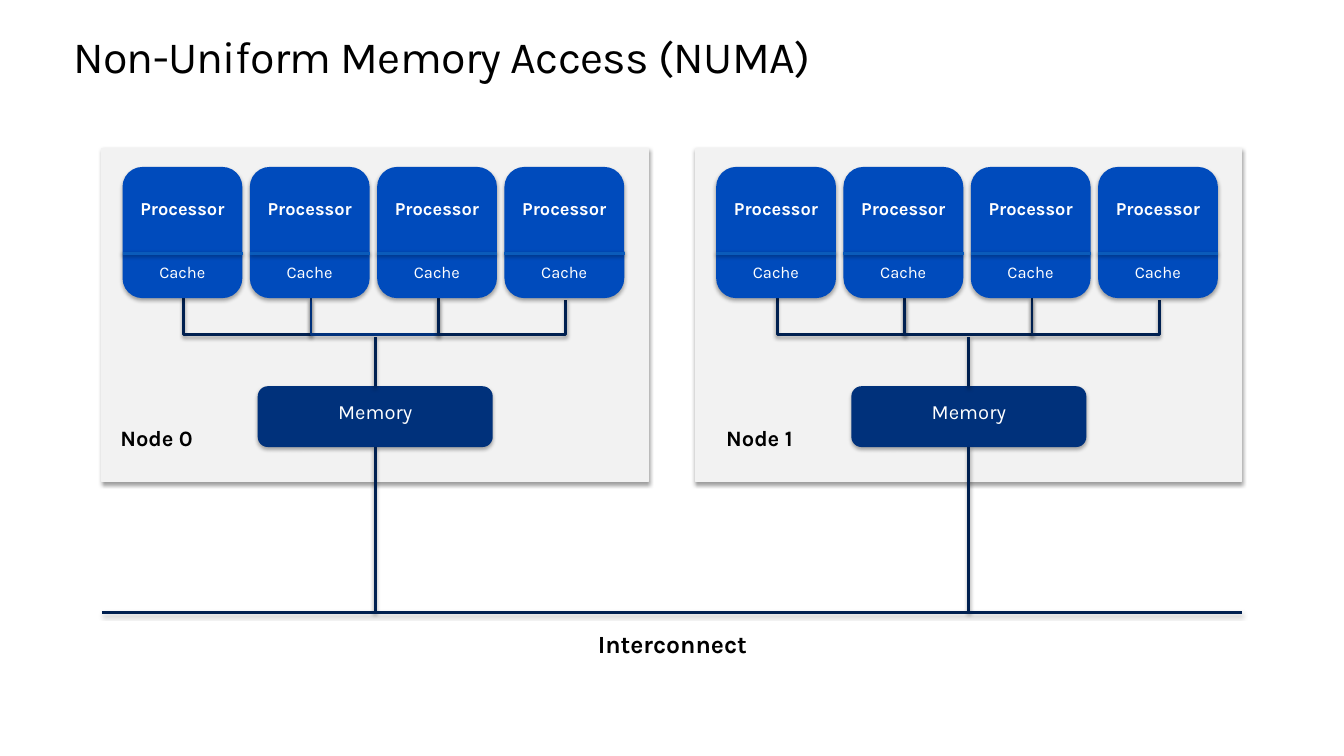
from lxml import etree
from pptx import Presentation
from pptx.dml.color import RGBColor
from pptx.enum import shapes, text
from pptx.oxml import ns
from pptx.util import Pt

COLORS = {"black": "000000", "white": "FFFFFF", "panel": "F2F2F2", "processor": "004BBC",
          "divider": "0A5BBA", "memory": "00317B", "wire": "002050"}
LEFT, CENTER = text.PP_ALIGN.LEFT, text.PP_ALIGN.CENTER
RECT = shapes.MSO_SHAPE.RECTANGLE
ROUNDED = shapes.MSO_SHAPE.ROUNDED_RECTANGLE
STRAIGHT, ELBOW = shapes.MSO_CONNECTOR.STRAIGHT, shapes.MSO_CONNECTOR.ELBOW


def rgb(name):
    return RGBColor.from_string(COLORS[name])


class Deck:
    font = "Karla"
    wire_width = 2

    def __init__(self, width, height):
        self.prs = Presentation()
        self.prs.slide_width, self.prs.slide_height = Pt(width), Pt(height)
        self.slide = self.prs.slides.add_slide(self.prs.slide_layouts[5])

    def set_text(self, sp, words, size, color, align=LEFT, bold=False, margin=7.2):
        tf = sp.text_frame
        tf.text = words
        tf.word_wrap = True
        tf.auto_size = text.MSO_AUTO_SIZE.SHAPE_TO_FIT_TEXT
        tf.vertical_anchor = text.MSO_ANCHOR.TOP
        tf.margin_left = tf.margin_right = Pt(margin)
        p = tf.paragraphs[0]
        p.alignment = align
        r = p.runs[0]
        r.font.name, r.font.size, r.font.bold = self.font, Pt(size), bold
        r.font.color.rgb = rgb(color)
        return p

    def title(self, words, x, y, w, h):
        sp = self.slide.shapes.title
        sp.left, sp.top, sp.width, sp.height = Pt(x), Pt(y), Pt(w), Pt(h)
        p = self.set_text(sp, words, 32.6, "black", margin=0)
        sp.text_frame.margin_top = sp.text_frame.margin_bottom = 0
        p.line_spacing = Pt(36.9)
        p.runs[0].font._element.set("spc", "-50")

    def label(self, words, x, y, w, h, size, color="white", **style):
        sp = self.slide.shapes.add_textbox(Pt(x), Pt(y), Pt(w), Pt(h))
        self.set_text(sp, words, size, color, **style)

    def shadow(self, sp, alpha, distance):
        spPr = sp._element.spPr
        effects = spPr.find(ns.qn("a:effectLst"))
        if effects is None:
            effects = etree.SubElement(spPr, ns.qn("a:effectLst"))
        outer = etree.SubElement(effects, ns.qn("a:outerShdw"), blurRad=str(Pt(3.1)),
                                 dist=str(Pt(distance)), dir="5400000", rotWithShape="0")
        color = etree.SubElement(outer, ns.qn("a:srgbClr"), val=COLORS["black"])
        etree.SubElement(color, ns.qn("a:alpha"), val=str(alpha * 1000))

    def block(self, kind, x, y, w, h, fill, outline=None):
        sp = self.slide.shapes.add_shape(kind, Pt(x), Pt(y), Pt(w), Pt(h))
        sp.shadow.inherit = False
        sp.fill.solid()
        sp.fill.fore_color.rgb = rgb(fill)
        if outline:
            sp.line.color.rgb, sp.line.width = rgb(outline), Pt(0.75)
            self.shadow(sp, 38, 1.6)
        else:
            sp.line.fill.background()
            self.shadow(sp, 35, 1.8)
        return sp

    def wire(self, x1, y1, x2, y2, color="wire", kind=STRAIGHT):
        cn = self.slide.shapes.add_connector(kind, Pt(x1), Pt(y1), Pt(x2), Pt(y2))
        cn.line.color.rgb, cn.line.width = rgb(color), Pt(self.wire_width)
        self.shadow(cn, 38, 1.6)
        return cn

    def bracket(self, x, y, span, depth, color):
        thin = 1.4
        mid_x, mid_y = x + span / 2, y + thin / 2
        cn = self.wire(mid_x + thin / 2, mid_y - span / 2,
                       mid_x - thin / 2, mid_y + span / 2, color, ELBOW)
        spPr = cn._element.spPr
        spPr.find(ns.qn("a:xfrm")).set("rot", "16200000")
        geom = spPr.find(ns.qn("a:prstGeom"))
        guides = geom.find(ns.qn("a:avLst"))
        if guides is None:
            guides = etree.SubElement(geom, ns.qn("a:avLst"))
        etree.SubElement(guides, ns.qn("a:gd"), name="adj1",
                         fmla=f"val {round(depth / thin * 100000)}")

    def processor(self, x):
        self.block(ROUNDED, x, 121.6, 87.3, 95.6, "processor")
        self.wire(x, 184.5, x + 87.5, 184.5, "divider")
        self.label("Processor", x, 140.4, 87.3, 23.8, 13.3, align=CENTER, bold=True, margin=5)
        self.label("Cache", x + 9.7, 187.2, 67.7, 22.3, 12, align=CENTER, margin=5)

    def node(self, name, x, label_x, link_colors):
        pitch = 92.75
        self.block(RECT, x, 108, 398.2, 242.6, "panel", "panel")
        for i, color in enumerate(link_colors):
            self.bracket(x + 59.7 + i * pitch, 216.9, pitch, 27.2, color)
        for i in range(4):
            self.processor(x + 15.1 + i * pitch)
        memory = self.block(ROUNDED, x + 113.6, 281.4, 171.2, 44.3, "memory")
        self.label("Memory", x + 119.3, 287.2, 159.8, 25.2, 14.7, align=CENTER)
        center = x + 199.2
        for side, start, end in ((0, 281.4, 245.5), (2, 325.7, 446.4)):
            self.wire(center, start, center, end).begin_connect(memory, side)
        self.label(name, label_x, 305.6, 92.9, 27.4, 16, "black", bold=True)


def main():
    deck = Deck(979.2, 550.8)
    deck.title("Non-Uniform Memory Access (NUMA)", 53.3, 23, 900, 36.9)
    deck.node("Node 0", 74.2, 80.6, ("wire", "memory", "wire"))
    deck.node("Node 1", 506.7, 522, ("wire",) * 3)
    deck.wire(74.2, 446.4, 905, 446.4)
    deck.label("Interconnect", 372.2, 454.3, 235.4, 29.5, 18, "black", align=CENTER, bold=True)
    deck.prs.save("out.pptx")


if __name__ == "__main__":
    main()
